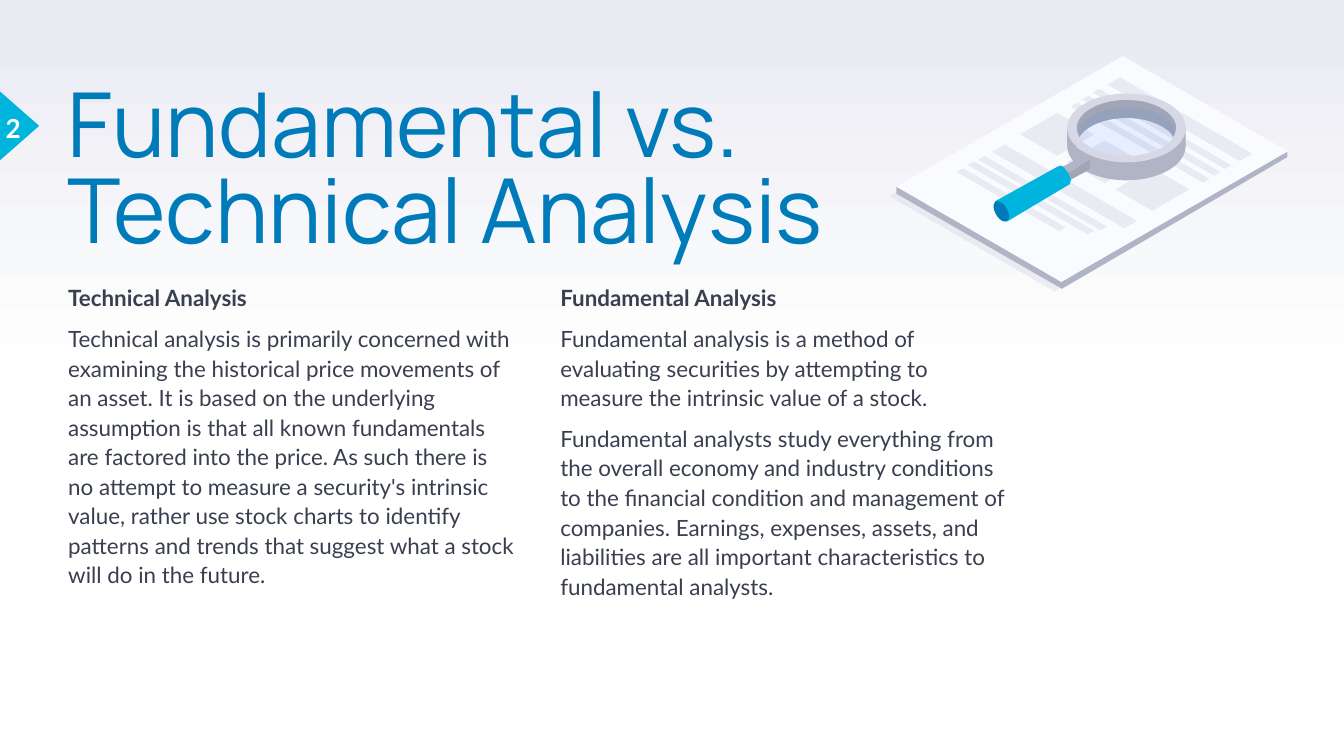
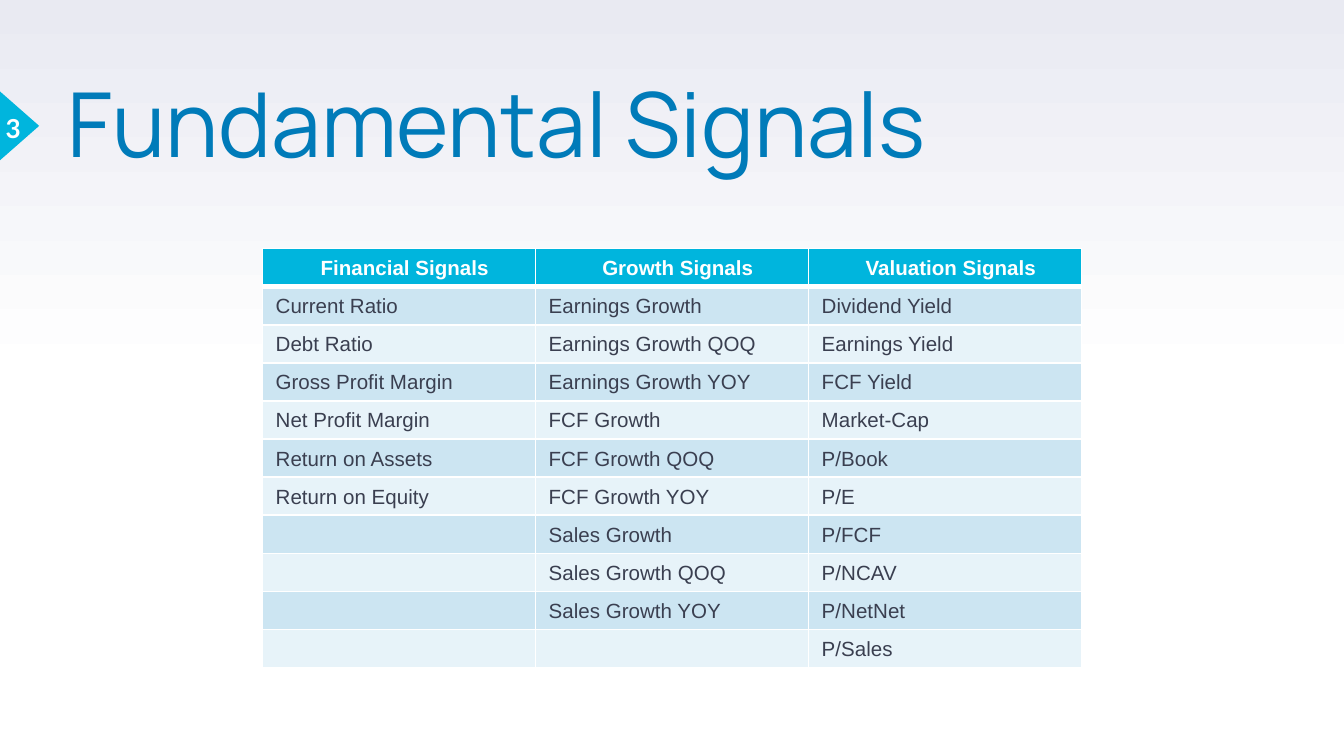
from copy import deepcopy
from dataclasses import dataclass
from math import cos, radians, sin

from lxml import etree
from pptx import Presentation
from pptx.dml.color import RGBColor
from pptx.enum.shapes import MSO_SHAPE
from pptx.enum.text import MSO_ANCHOR, MSO_AUTO_SIZE, PP_ALIGN
from pptx.oxml.ns import qn
from pptx.util import Cm, Pt

LEFT, CENTER = PP_ALIGN.LEFT, PP_ALIGN.CENTER
TOP, MIDDLE = MSO_ANCHOR.TOP, MSO_ANCHOR.MIDDLE
OVAL, WEDGE = MSO_SHAPE.OVAL, MSO_SHAPE.ISOSCELES_TRIANGLE
FIXED = MSO_AUTO_SIZE.NONE
SLOPE = 0.577  # rise over run of the isometric axes


@dataclass(frozen=True)
class Theme:
    # Colours
    white: str = "FFFFFF"
    haze: str = "E9EAF2"
    blue: str = "007BB9"
    cyan: str = "00B5DD"
    ink: str = "3A3F50"
    band: str = "CCE5F2"
    pale: str = "E7F3F9"
    paper: str = "FAFBFF"
    rim: str = "D6D8E5"
    edge: str = "B1B4C4"
    dark: str = "A1A5B5"
    glass: str = "3E7EFF"
    black: str = "000000"
    # Fonts and sizes
    head: str = "Manrope"
    body: str = "Lato"
    grid: str = "Arial"
    big: int = 48
    mark: int = 14
    text: int = 12
    cell: int = 11


def rgb(code):
    return RGBColor.from_string(code)


def arc(mid, wide, high, start, end, step=6):
    """Points along an ellipse, angles running clockwise from the right."""
    turn = step if end > start else -step
    return [(mid[0] + wide * cos(radians(a)), mid[1] + high * sin(radians(a)))
            for a in range(start, end + turn, turn)]


def iso(x, y, down, up):
    """Isometric tile: left corner, length down right, length up right."""
    return [(x, y), (x + up, y - SLOPE * up),
            (x + up + down, y + SLOPE * (down - up)),
            (x + down, y + SLOPE * down)]


class Deck:
    def __init__(self, theme):
        self.theme = theme
        self.prs = Presentation()
        self.prs.slide_width, self.prs.slide_height = Cm(25.4), Cm(14.29)
        self.slide = self.pen = None
        self.sky()

    def sky(self):
        master = self.prs.slide_master
        fill = master.background.fill
        fill.gradient()
        fill.gradient_angle = 90
        first, last = fill.gradient_stops
        first.color.rgb, first.position = rgb(self.theme.white), 0
        last.color.rgb, last.position = rgb(self.theme.haze), 1
        stops = master.element.find(".//" + qn("a:gsLst"))
        half = deepcopy(stops[0])
        half.set("pos", "50000")
        stops.insert(1, half)

    def page(self, title, wide, num):
        th = self.theme
        self.slide = self.prs.slides.add_slide(self.prs.slide_layouts[5])
        self.pen = self.slide.shapes
        # Title
        box = self.pen.title
        box.left, box.top, box.width, box.height = map(
            Cm, (1.27, 1.68, wide, 3))
        frame = self.frame(box.text_frame)
        para = frame.paragraphs[0]
        para.alignment, para.line_spacing = LEFT, 0.8
        self.run(para, title, th.head, th.big, th.blue, False)
        # Page marker
        self.shape(WEDGE, -0.28, 2.01, 1.3, 0.74, th.cyan, turn=90)
        box = self.pen.add_textbox(*map(Cm, (-0.08, 1.83, 0.66, 1.17)))
        frame = self.frame(box.text_frame, 0.25, MIDDLE)
        frame.word_wrap = False
        para = frame.paragraphs[0]
        para.alignment = CENTER
        self.run(para, str(num), th.body, th.mark, th.white, True)

    def frame(self, frame, pad=0, anchor=TOP):
        frame.word_wrap, frame.auto_size = True, FIXED
        frame.vertical_anchor = anchor
        frame.margin_left = frame.margin_right = Cm(pad)
        frame.margin_top = frame.margin_bottom = Cm(pad)
        return frame

    def run(self, para, text, face, size, color, bold):
        run = para.add_run()
        run.text = text
        font = run.font
        font.name, font.size, font.bold = face, Pt(size), bold
        font.color.rgb = rgb(color)

    def text(self, x, y, wide, high, paras):
        """A column whose first paragraph is its bold heading."""
        th = self.theme
        box = self.pen.add_textbox(*map(Cm, (x, y, wide, high)))
        frame = self.frame(box.text_frame)
        for i, words in enumerate(paras):
            para = frame.add_paragraph() if i else frame.paragraphs[0]
            para.alignment, para.line_spacing = LEFT, 1.1
            para.space_before = Pt(6 if i else 0)
            self.run(para, words, th.body, th.text, th.ink, i == 0)

    def paint(self, shape, color, alpha=100):
        shape.shadow.inherit = False
        shape.fill.solid()
        shape.fill.fore_color.rgb = rgb(color)
        shape.line.fill.background()
        if alpha < 100:
            tone = shape.element.spPr.find(
                qn("a:solidFill") + "/" + qn("a:srgbClr"))
            etree.SubElement(tone, qn("a:alpha"), val=str(alpha * 1000))

    def shape(self, kind, x, y, wide, high, color, alpha=100, turn=0):
        shape = self.pen.add_shape(kind, *map(Cm, (x, y, wide, high)))
        shape.rotation = turn
        self.paint(shape, color, alpha)

    def free(self, color, *loops, alpha=100):
        """A filled outline; further loops cut holes."""
        loops = [[(Cm(x), Cm(y)) for x, y in loop] for loop in loops]
        pen = self.pen.build_freeform(*loops[0][0])
        for i, loop in enumerate(loops):
            if i:
                pen.move_to(*loop[0])
            pen.add_line_segments(loop[1:], close=True)
        self.paint(pen.convert_to_shape(), color, alpha)

    def ring(self, mid, color):
        self.free(color, arc(mid, 1.12, 0.65, 0, 354),
                  arc(mid, 0.94, 0.53, 354, 0))

    def cell(self, cell, words, fill, color, head, lines):
        th = self.theme
        cell.margin_left, cell.margin_right = Cm(0.25), Cm(0.03)
        cell.margin_top, cell.margin_bottom = Cm(0.03), Cm(0)
        cell.vertical_anchor = MIDDLE
        para = cell.text_frame.paragraphs[0]
        para.alignment = CENTER if head else LEFT
        if words:
            self.run(para, words, th.grid, th.cell, color, head)
        else:
            etree.SubElement(para._p, qn("a:endParaRPr"),
                             sz=str(th.cell * 100))
        # Borders come before the fill
        props = cell._tc.get_or_add_tcPr()
        for side, width in zip("LRTB", lines):
            line = etree.SubElement(props, qn("a:ln" + side),
                                    w=str(Pt(width)))
            solid = etree.SubElement(line, qn("a:solidFill"))
            etree.SubElement(solid, qn("a:srgbClr"), val=th.white)
        cell.fill.solid()
        cell.fill.fore_color.rgb = rgb(fill)

    def table(self, x, y, wide, high, cols):
        """Columns of words, each led by its heading."""
        th = self.theme
        rows = max(map(len, cols))
        size = (wide * len(cols), high * rows)
        table = self.pen.add_table(
            rows, len(cols), *map(Cm, (x, y, *size))).table
        table.horz_banding = False
        for col in table.columns:
            col.width = Cm(wide)
        for r, row in enumerate(table.rows):
            row.height = Cm(high)
            head = r == 0
            fill = th.cyan if head else (th.pale, th.band)[r % 2]
            color = th.white if head else th.ink
            lines = (1, 1, 3 if r == 1 else 1, 3 if head else 1)
            for c, col in enumerate(cols):
                words = col[r] if r < len(col) else ""
                self.cell(table.cell(r, c), words, fill, color, head, lines)

    def report(self):
        """Printed report under a magnifying glass, as one group."""
        th = self.theme
        self.pen = self.slide.shapes.add_group_shape().shapes
        # Sheet
        self.free(th.rim, iso(16.81, 3.71, 3.12, 4.28), alpha=40)
        self.free(th.edge, [(24.23, 2.92), (21.23, 1.17), (17.04, 3.58),
                            (16.94, 3.53), (16.94, 3.66), (20.07, 5.46),
                            (24.33, 2.97), (24.33, 2.87)])
        self.free(th.paper, iso(16.94, 3.53, 3.12, 4.28))
        # Lines of print
        for x, y, down, up in (
                (20.93, 1.6, 2.5, 0.24), (20.65, 1.75, 2.5, 0.12),
                (20.45, 1.88, 2.5, 0.12), (20.24, 2.01, 2.5, 0.12),
                (18.75, 2.87, 2.5, 0.24), (18.49, 3.02, 2.31, 0.12),
                (18.29, 3.12, 2.27, 0.12), (18.08, 3.25, 1.94, 0.12)):
            self.free(th.haze, iso(x, y, down, up))
        for i in range(3):
            self.free(th.haze, iso(19.28 + 0.9 * i, 2.54 + 0.52 * i, 0.7, 0.7))
        # Lens
        low, high, mid = (21.29, 2.76), (21.29, 2.42), (21.27, 2.62)
        self.ring(low, th.edge)
        self.free(th.dark, arc(low, 0.94, 0.53, -20, -160)
                  + [(20.29, 2.41), (20.42, 2.11), (20.85, 1.85),
                     (21.67, 1.88), (22.23, 2.21), (22.23, 2.41)])
        for way in (-1, 1):
            rim = high[0] + 1.12 * way
            self.free(th.edge, [(rim, low[1]), (rim, high[1]),
                                (rim - 0.17 * way, 2.69)])
        self.shape(OVAL, 20.37, 2.03, 1.85, 1.07, th.glass, 10)
        self.free(th.edge, arc(mid, 1.02, 0.71, 0, 180)
                  + arc(mid, 1.02, 0.38, 180, 0))
        self.ring(high, th.rim)
        # Handle
        cap = (18.81, 3.78, 0.23, 0.43)
        self.shape(OVAL, *cap, th.black, 10, 330)
        self.free(th.edge, [(20.6, 3.02), (20.14, 3.3), (19.99, 3.2),
                            (20.47, 2.95)])
        self.free(th.dark, [(20.6, 3.2), (20.14, 3.45), (20.14, 3.3),
                            (20.6, 3.02)])
        self.free(th.cyan, [(20.24, 3.4), (20.19, 3.27), (20.09, 3.15),
                            (20.04, 3.13), (19.99, 3.15), (18.8, 3.81),
                            (19.03, 4.19), (20.17, 3.51), (20.22, 3.48)])
        self.shape(OVAL, *cap, th.blue, turn=330)
        self.pen = self.slide.shapes


def main():
    deck = Deck(Theme())

    # Two schools of analysis
    deck.page("Fundamental vs. Technical Analysis", 15.67, 2)
    deck.text(10.59, 5.33, 8.46, 5.92, (
        "Fundamental Analysis",
        "Fundamental analysis is a method of evaluating securities by "
        "attempting to measure the intrinsic value of a stock.",
        "Fundamental analysts study everything from the overall economy and "
        "industry conditions to the financial condition and management of "
        "companies. Earnings, expenses, assets, and liabilities are all "
        "important characteristics to fundamental analysts."))
    deck.text(1.29, 5.33, 8.46, 8.59, (
        "Technical Analysis",
        "Technical analysis is primarily concerned with examining the "
        "historical price movements of an asset. It is based on the "
        "underlying assumption is that all known fundamentals are factored "
        "into the price. As such there is no attempt to measure a security's "
        "intrinsic value, rather use stock charts to identify patterns and "
        "trends that suggest what a stock will do in the future."))
    deck.report()

    # Signals by kind
    deck.page("Fundamental Signals", 17.27, 3)
    spans = ("", " QOQ", " YOY")
    growth = [f"{name} Growth{span}"
              for name in ("Earnings", "FCF", "Sales") for span in spans]
    deck.table(4.96, 4.7, 5.16, 0.72, (
        ("Financial Signals", "Current Ratio", "Debt Ratio",
         "Gross Profit Margin", "Net Profit Margin", "Return on Assets",
         "Return on Equity"),
        ("Growth Signals", *growth),
        ("Valuation Signals", "Dividend Yield", "Earnings Yield",
         "FCF Yield", "Market-Cap", "P/Book", "P/E", "P/FCF", "P/NCAV",
         "P/NetNet", "P/Sales")))

    deck.prs.save("out.pptx")


if __name__ == "__main__":
    main()
